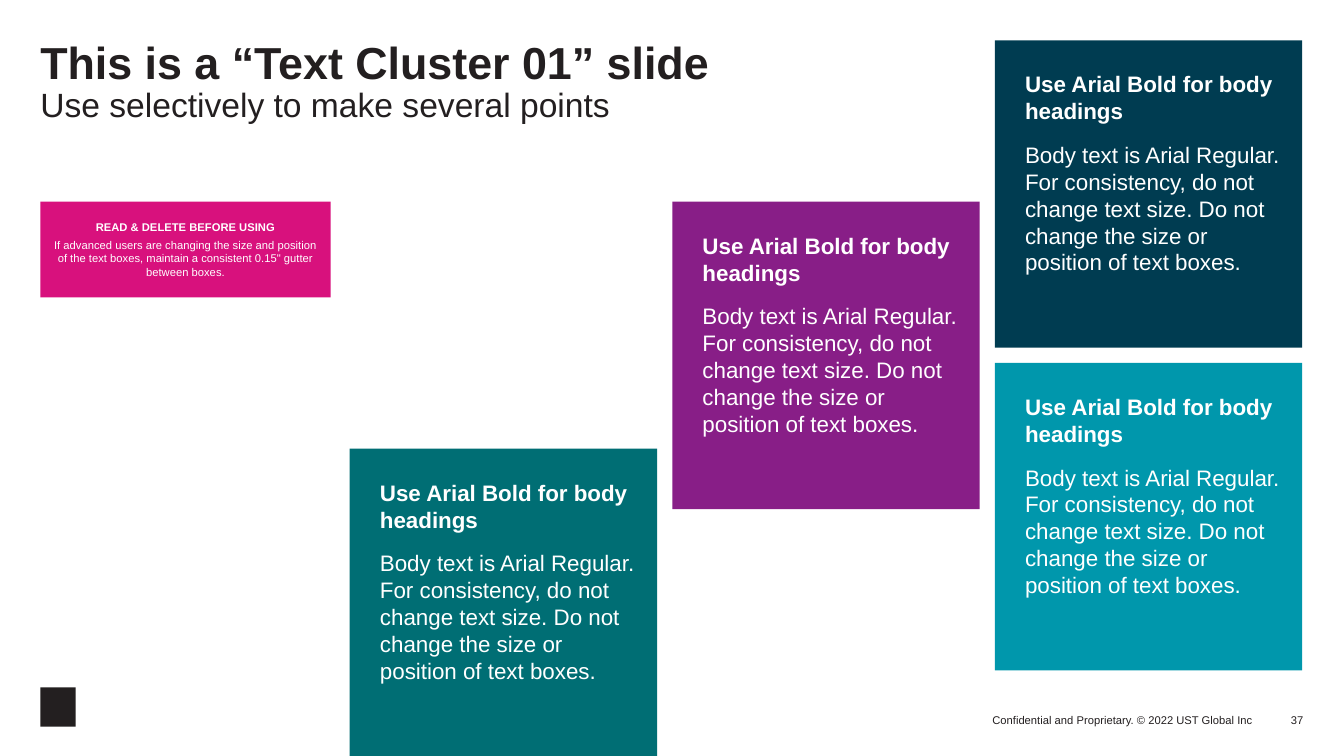
from pptx import Presentation
from pptx.dml.color import RGBColor
from pptx.enum.shapes import MSO_SHAPE
from pptx.enum.text import MSO_ANCHOR, PP_ALIGN
from pptx.util import Pt

RECTANGLE = MSO_SHAPE.RECTANGLE
TOP, MIDDLE, BOTTOM = MSO_ANCHOR.TOP, MSO_ANCHOR.MIDDLE, MSO_ANCHOR.BOTTOM
LEFT, CENTER, RIGHT = PP_ALIGN.LEFT, PP_ALIGN.CENTER, PP_ALIGN.RIGHT

INK, WHITE, PINK = "231F20", "FFFFFF", "D8117D"
MARGIN = 28.8

prs = Presentation()
prs.slide_width, prs.slide_height = Pt(960), Pt(540)
slide = prs.slides.add_slide(prs.slide_layouts[6])


def block(left, top, width, height, fill=None):
    """Add a filled rectangle, or a text box when there is no fill."""
    area = Pt(left), Pt(top), Pt(width), Pt(height)
    if fill is None:
        return slide.shapes.add_textbox(*area)
    panel = slide.shapes.add_shape(RECTANGLE, *area)
    panel.shadow.inherit = False
    panel.fill.solid()
    panel.fill.fore_color.rgb = RGBColor.from_string(fill)
    panel.line.fill.background()
    return panel


def write(holder, paragraphs, color, insets=(0, 0, 0, 0), anchor=TOP,
          align=LEFT, gap=0, spacing=1.0):
    """Fill a holder with paragraphs, each a list of (text, size, bold) lines."""
    frame = holder.text_frame
    left, top, right, bottom = map(Pt, insets)
    frame_format = {"word_wrap": True, "vertical_anchor": anchor,
                    "margin_left": left, "margin_top": top,
                    "margin_right": right, "margin_bottom": bottom}
    for name, value in frame_format.items():
        setattr(frame, name, value)
    for index, lines in enumerate(paragraphs):
        paragraph = frame.add_paragraph() if index else frame.paragraphs[0]
        paragraph_format = {"alignment": align, "line_spacing": spacing,
                            "space_before": Pt(gap if index else 0)}
        for name, value in paragraph_format.items():
            setattr(paragraph, name, value)
        for number, (text, size, bold) in enumerate(lines):
            if number:
                paragraph.add_line_break()
            run = paragraph.add_run()
            run.text = text
            font_format = {"name": "Arial", "size": Pt(size), "bold": bold}
            for name, value in font_format.items():
                setattr(run.font, name, value)
            run.font.color.rgb = RGBColor.from_string(color)


# Plain mark at the bottom left
block(MARGIN, 491, 25.2, 28, INK)

# Footer
footers = [
    (647.3, 247.7, "Confidential and Proprietary. © 2022 UST Global Inc"),
    (895, 36, "37"),
]
for left, width, footer in footers:
    write(block(left, 504.7, width, 14.4), [[(footer, 8, False)]], INK,
          anchor=BOTTOM, align=RIGHT)

# Title and subtitle
write(block(MARGIN, MARGIN, 671, 72),
      [[("This is a “Text Cluster 01” slide", 32, True),
        ("Use selectively to make several points", 24, False)]],
      INK, spacing=0.9)

# Text cluster: square cards on a grid of columns with a constant gutter
CARD, GUTTER, FIRST_COLUMN = 219.6, 10.8, 249.8
card_text = [
    [("Use Arial Bold for body headings", 16, True)],
    [("Body text is Arial Regular. For consistency, do not change text size. "
      "Do not change the size or position of text boxes.", 16, False)],
]
cards = [
    (2, MARGIN, "003C51"),
    (1, 144, "881E87"),
    (2, MARGIN + CARD + GUTTER, "0097AC"),
    (0, 540 - CARD, "006E74"),
]
for column, top, fill in cards:
    left = FIRST_COLUMN + column * (CARD + GUTTER)
    write(block(left, top, CARD, CARD, fill), card_text, WHITE,
          insets=(21.6, 21.6, 14.4, 14.4), gap=12)

# Instruction note
write(block(MARGIN, 144, 207.4, 68.4, PINK),
      [[("READ & DELETE BEFORE USING", 8, True)],
       [("If advanced users are changing the size and position of the text "
         "boxes, maintain a consistent 0.15\" gutter between boxes.", 8, False)]],
      WHITE, insets=(7.2, 3.6, 7.2, 3.6), anchor=MIDDLE, align=CENTER, gap=3)

prs.save("out.pptx")
